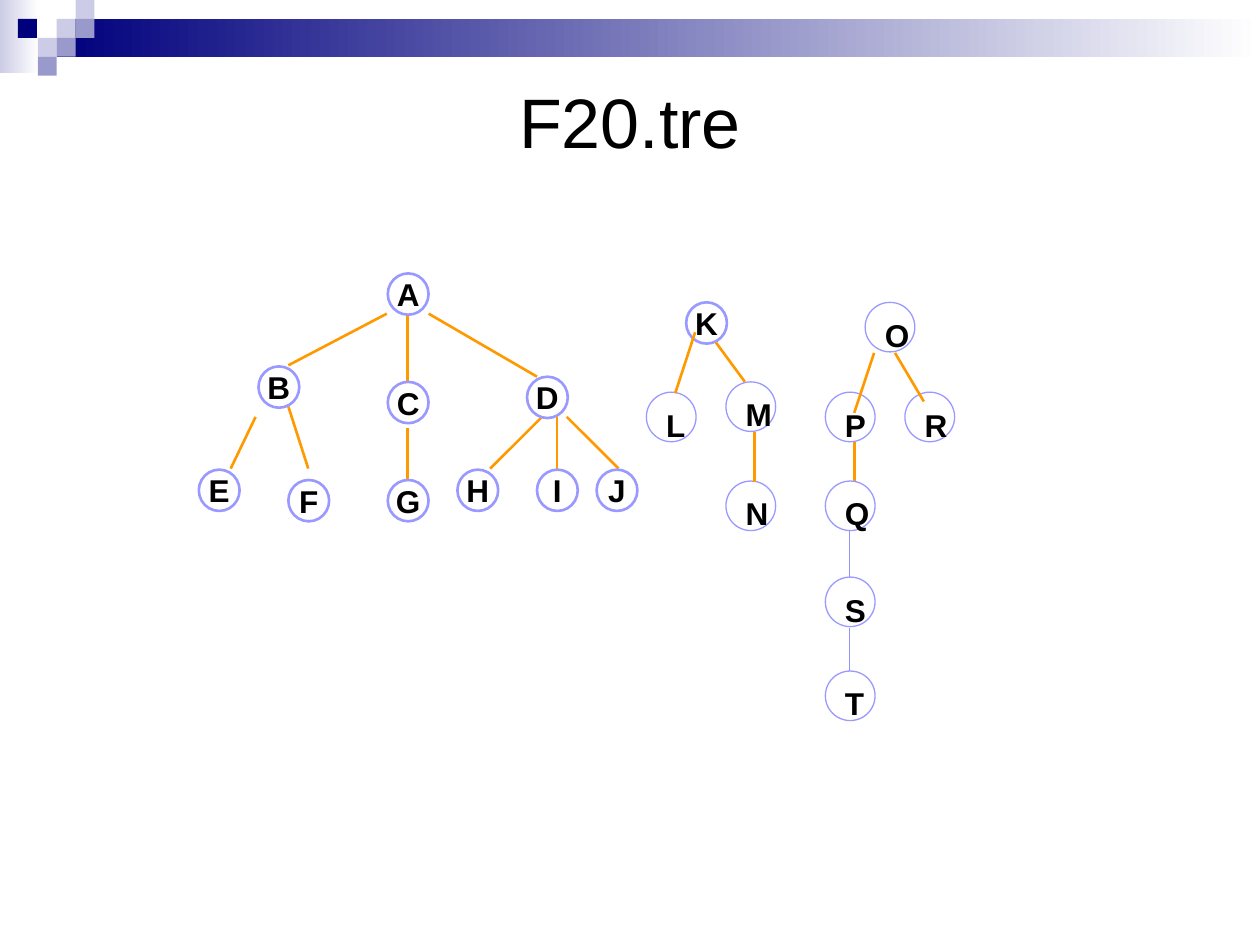
from pptx import Presentation
from pptx.dml.color import RGBColor
from pptx.enum.shapes import MSO_CONNECTOR as Connector, MSO_SHAPE as Preset
from pptx.enum.text import MSO_ANCHOR as Anchor, PP_ALIGN as Align
from pptx.util import Inches, Pt
from lxml.etree import SubElement
from pptx.oxml.ns import qn

SLIDE_WIDTH, SLIDE_HEIGHT = Inches(10), Inches(7.5)
TILE = Inches(0.15)
COLUMN = SLIDE_WIDTH / 126.7
ROW = SLIDE_HEIGHT / 91.5
TREE_TOP = Inches(2.17)

FONT = "Arial"
BLACK = RGBColor(0x00, 0x00, 0x00)
WHITE = RGBColor(0xFF, 0xFF, 0xFF)
NAVY = RGBColor(0x00, 0x00, 0x7D)
LAVENDER = RGBColor(0xCC, 0xCC, 0xE6)
PERIWINKLE = RGBColor(0x99, 0x99, 0xCC)
NODE_BLUE = RGBColor(0x99, 0x99, 0xFF)
CHAIN_BLUE = RGBColor(0x93, 0x93, 0xFC)
ORANGE = RGBColor(0xFF, 0x99, 0x00)

TILES = [
    (3, 1, LAVENDER), (4, 0, LAVENDER), (4, 1, PERIWINKLE), (2, 2, LAVENDER),
    (0.95, 1, NAVY), (3, 2, PERIWINKLE), (2, 3, PERIWINKLE),
]
SMALL_NODES = [
    ("A", 39, 0), ("B", 26, 9), ("C", 39, 10.5), ("G", 39, 20), ("F", 29, 20),
    ("E", 20, 19), ("H", 46, 19), ("I", 54, 19), ("J", 60, 19),
    ("K", 69, 2.8), ("D", 53, 10),
]
LARGE_NODES = [
    ("L", 65, 11.5), ("M", 73, 10.5), ("N", 73, 20.1), ("O", 87, 2.8),
    ("P", 83, 11.5), ("Q", 83, 20.1), ("R", 91, 11.5),
    ("S", 83, 29.4), ("T", 83, 38.5),
]
EDGES_BEHIND = [
    (38.9, 3.9, 29, 8.9), (43.1, 3.9, 54, 10), (41, 3.9, 41, 11),
    (41, 15, 41, 19.9), (85.9, 16.3, 85.9, 22.2), (56, 13.9, 56, 18.9),
    (29, 12.9, 31, 18.9), (25.7, 13.9, 23.2, 18.9),
    (57, 13.9, 62.2, 18.9), (54.5, 13.9, 49.3, 18.9),
]
EDGES_IN_FRONT = [
    (72, 6.7, 74.9, 10.5), (87.9, 7.7, 85.9, 13.5), (75.9, 15.4, 75.9, 20.2),
    (90, 7.7, 92.9, 12.4), (69.9, 5.7, 67.9, 11.6),
]
CHAIN_EDGES = [(85.4, 24.9, 85.4, 29.4), (85.4, 34.3, 85.4, 38.5)]


def tree_point(column, row):
    return round(column * COLUMN), round(TREE_TOP + row * ROW)


def add_block(slide, left, top, width, height, color, fade=False):
    box = [round(tiles * TILE) for tiles in (left, top, width, height)]
    shape = slide.shapes.add_shape(Preset.RECTANGLE, *box)
    shape.shadow.inherit = False
    shape.line.fill.background()
    if fade:
        shape.fill.gradient()
        shape.fill.gradient_angle = 0
        for stop, position, shade in zip(shape.fill.gradient_stops, (0, 1), (color, WHITE)):
            stop.position = position
            stop.color.rgb = shade
    else:
        shape.fill.solid()
        shape.fill.fore_color.rgb = color


def add_header(slide):
    add_block(slide, 0, 0, 2.05, 3.85, LAVENDER, fade=True)
    add_block(slide, 3, 1, SLIDE_WIDTH / TILE - 3, 2, NAVY, fade=True)
    for column, row, color in TILES:
        add_block(slide, column, row, 1, 1, color)


def write(shape, text, size, align, anchor, wrap=True, bold=False):
    frame = shape.text_frame
    frame.word_wrap = wrap
    frame.vertical_anchor = anchor
    paragraph = frame.paragraphs[0]
    paragraph.text = text
    paragraph.alignment = align
    paragraph.font.name = FONT
    paragraph.font.size = Pt(size)
    paragraph.font.bold = bold
    paragraph.font.color.rgb = BLACK


def add_title(slide, text):
    box = slide.shapes.add_textbox(
        round(SLIDE_WIDTH * 0.05), Inches(0.5), round(SLIDE_WIDTH * 0.9), Inches(0.92))
    write(box, text, 40, Align.CENTER, Anchor.MIDDLE)


def add_node(slide, column, row, columns, rows, weight):
    left, top = tree_point(column, row)
    node = slide.shapes.add_shape(
        Preset.OVAL, left, top, round(columns * COLUMN), round(rows * ROW))
    node.shadow.inherit = False
    node.fill.solid()
    node.fill.fore_color.rgb = WHITE
    node.line.color.rgb = NODE_BLUE
    node.line.width = Pt(weight)
    return node


def add_small_node(slide, letter, column, row):
    node = add_node(slide, column, row, 4.1, 4, 1.5)
    write(node, letter, 18, Align.CENTER, Anchor.MIDDLE, wrap=False, bold=True)


def add_large_node(slide, letter, column, row):
    node = add_node(slide, column, row, 5, 4.8, 0.75)
    write(node, letter, 18, Align.JUSTIFY, Anchor.TOP, bold=True)


def add_edges(slide, edges, color, weight):
    for start_column, start_row, end_column, end_row in edges:
        edge = slide.shapes.add_connector(
            Connector.STRAIGHT,
            *tree_point(start_column, start_row), *tree_point(end_column, end_row))
        edge.line.color.rgb = color
        edge.line.width = Pt(weight)
        SubElement(edge._element.spPr, qn("a:effectLst"))


def main():
    presentation = Presentation()
    presentation.slide_width, presentation.slide_height = SLIDE_WIDTH, SLIDE_HEIGHT
    slide = presentation.slides.add_slide(presentation.slide_layouts[6])
    add_header(slide)
    add_title(slide, "F20.tre")
    add_edges(slide, EDGES_BEHIND, ORANGE, 1.5)
    for node in SMALL_NODES:
        add_small_node(slide, *node)
    for node in LARGE_NODES:
        add_large_node(slide, *node)
    add_edges(slide, EDGES_IN_FRONT, ORANGE, 1.5)
    add_edges(slide, CHAIN_EDGES, CHAIN_BLUE, 0.75)
    presentation.save("out.pptx")


if __name__ == "__main__":
    main()
